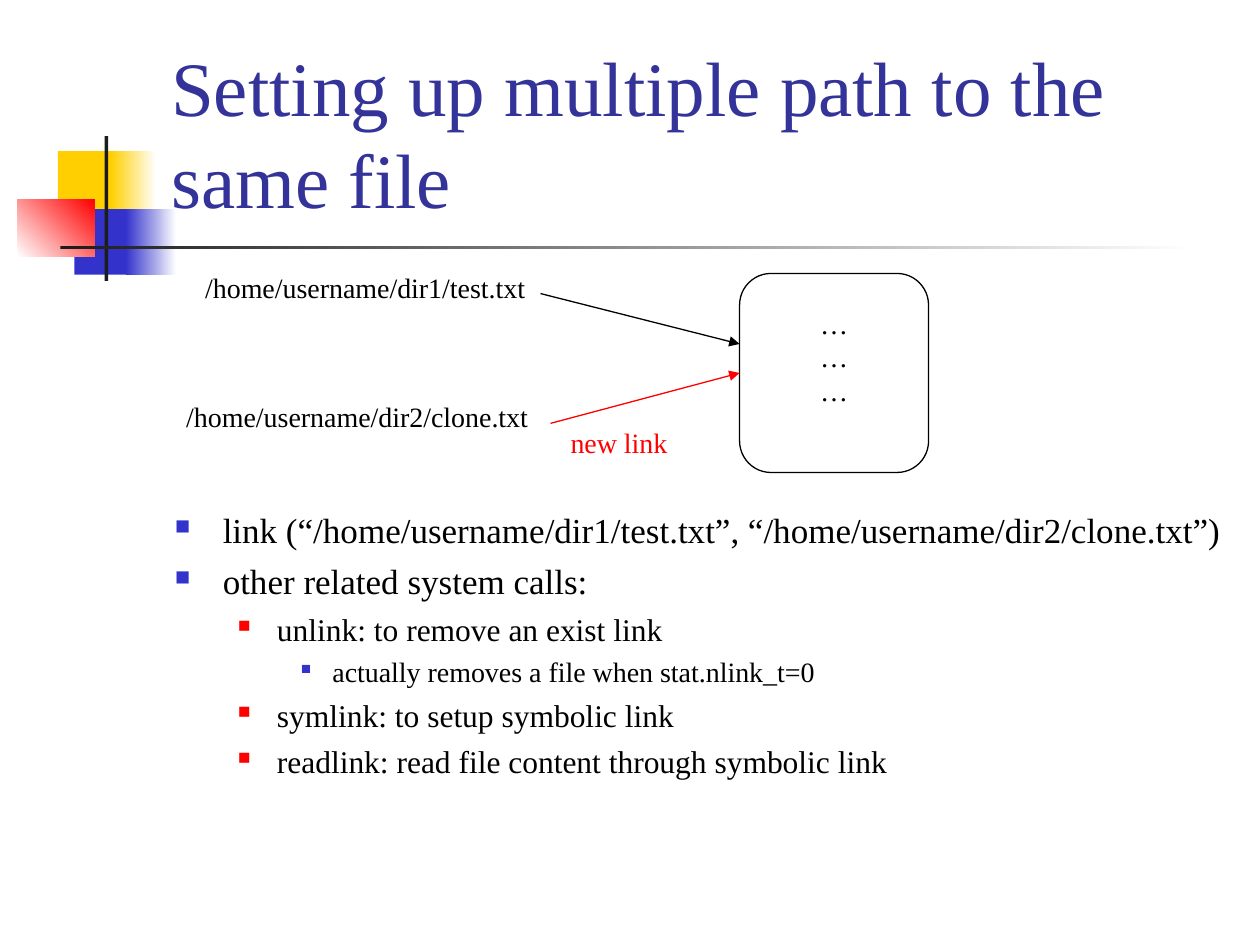
from dataclasses import dataclass

from lxml.etree import SubElement
from pptx import Presentation
from pptx.dml.color import RGBColor
from pptx.enum.shapes import MSO_CONNECTOR as Connector, MSO_SHAPE as Shape
from pptx.enum.text import MSO_ANCHOR as Anchor, PP_ALIGN as Align
from pptx.oxml.ns import qn
from pptx.util import Inches, Pt


@dataclass(frozen=True)
class Theme:
    font: str = "Times New Roman"
    title: str = "333399"
    text: str = "000000"
    red: str = "FF0000"
    blue: str = "3333CC"
    yellow: str = "FFCF01"
    bar: str = "1C1C1C"
    white: str = "FFFFFF"
    title_size: int = 44
    label_size: int = 16
    line_width: float = 0.75


THEME = Theme()

LEVELS = [
    dict(size=20, space=5, margin=0.38, hang=0.38, color=THEME.blue, scale=60),
    dict(size=18, space=4.5, margin=0.81, hang=0.31, color=THEME.red, scale=55),
    dict(size=16, space=4, margin=1.25, hang=0.25, color=THEME.blue, scale=50),
]

BULLETS = [
    (0, "link (“/home/username/dir1/test.txt”, “/home/username/dir2/clone.txt”)"),
    (0, "other related system calls:"),
    (1, "unlink: to remove an exist link"),
    (2, "actually removes a file when stat.nlink_t=0"),
    (1, "symlink: to setup symbolic link"),
    (1, "readlink: read file content through symbolic link"),
]

DECORATION = [
    ((0.46, 1.2, 0.48, 0.52), [THEME.yellow], 0),
    ((0.88, 1.2, 0.36, 0.52), [THEME.yellow, THEME.white], 0),
    ((0.59, 1.66, 0.46, 0.52), [THEME.blue], 0),
    ((1, 1.66, 0.4, 0.52), [THEME.blue, THEME.white], 0),
    ((0.14, 1.58, 0.61, 0.46), [THEME.white, THEME.red], 45),
    ((0.83, 1.08, 0.03, 1.15), [THEME.bar], 0),
    ((0.48, 1.95, 9, 0.03), [THEME.bar, THEME.white], 0),
]

LABELS = [
    ((1.53, 2.1, 2.76, 0.37), "/home/username/dir1/test.txt", THEME.text),
    ((1.38, 3.12, 2.93, 0.37), "/home/username/dir2/clone.txt", THEME.text),
    ((4.43, 3.33, 0.97, 0.37), "new link", THEME.red),
]

ARROWS = [
    ((4.29, 2.33, 5.87, 2.73), THEME.text),
    ((4.37, 3.36, 5.87, 2.96), THEME.red),
]


def inches(values):
    return [Inches(value) for value in values]


def rgb(color):
    return RGBColor.from_string(color)


def apply_format(target, values):
    for name, value in values.items():
        setattr(target, name, value)


def write(paragraph, text, size, color):
    paragraph.text = text
    apply_format(paragraph.font, dict(name=THEME.font, size=Pt(size)))
    paragraph.font.color.rgb = rgb(color)


def add_text_box(slide, box, wrap=True, anchor=Anchor.TOP):
    frame = slide.shapes.add_textbox(*inches(box)).text_frame
    apply_format(frame, dict(word_wrap=wrap, vertical_anchor=anchor))
    return frame


def add_block(slide, box, colors, angle):
    shape = slide.shapes.add_shape(Shape.RECTANGLE, *inches(box))
    shape.shadow.inherit = False
    shape.line.fill.background()
    if len(colors) == 1:
        shape.fill.solid()
        shape.fill.fore_color.rgb = rgb(colors[0])
        return
    shape.fill.gradient()
    shape.fill.gradient_angle = angle
    for stop, color in zip(shape.fill.gradient_stops, colors):
        stop.color.rgb = rgb(color)


def add_title(slide, text):
    frame = add_text_box(slide, (1.26, 0.23, 8.52, 1.6), anchor=Anchor.BOTTOM)
    write(frame.paragraphs[0], text, THEME.title_size, THEME.title)


def add_bullet(paragraph, level):
    properties = paragraph._p.get_or_add_pPr()
    properties.set("marL", str(Inches(level["margin"])))
    properties.set("indent", str(-Inches(level["hang"])))
    bullet_color = SubElement(properties, qn("a:buClr"))
    SubElement(bullet_color, qn("a:srgbClr"), val=level["color"])
    SubElement(properties, qn("a:buSzPct"), val=str(level["scale"] * 1000))
    SubElement(properties, qn("a:buChar"), char="■")


def add_bullets(slide, items):
    frame = add_text_box(slide, (1.29, 3.99, 8.5, 2.72))
    for index, (depth, text) in enumerate(items):
        level = LEVELS[depth]
        paragraph = frame.add_paragraph() if index else frame.paragraphs[0]
        add_bullet(paragraph, level)
        paragraph.level = depth
        if index:
            paragraph.space_before = Pt(level["space"])
        write(paragraph, text, level["size"], THEME.text)


def add_label(slide, box, text, color):
    frame = add_text_box(slide, box, wrap=False)
    write(frame.paragraphs[0], text, THEME.label_size, color)


def add_file_box(slide, box, lines):
    shape = slide.shapes.add_shape(Shape.ROUNDED_RECTANGLE, *inches(box))
    shape.shadow.inherit = False
    shape.fill.background()
    shape.line.color.rgb = rgb(THEME.text)
    shape.line.width = Pt(THEME.line_width)
    frame = shape.text_frame
    apply_format(frame, dict(word_wrap=False, vertical_anchor=Anchor.MIDDLE,
                             margin_bottom=Inches(0.31)))
    for index, text in enumerate(lines):
        paragraph = frame.add_paragraph() if index else frame.paragraphs[0]
        paragraph.alignment = Align.CENTER
        write(paragraph, text, THEME.label_size, THEME.text)


def add_arrow(slide, ends, color):
    arrow = slide.shapes.add_connector(Connector.STRAIGHT, *inches(ends))
    arrow.line.color.rgb = rgb(color)
    arrow.line.width = Pt(THEME.line_width)
    SubElement(arrow.line._get_or_add_ln(), qn("a:tailEnd"), type="triangle")
    SubElement(arrow._element.spPr, qn("a:effectLst"))


def main():
    presentation = Presentation()
    apply_format(presentation, dict(slide_width=Inches(10), slide_height=Inches(7.5)))
    slide = presentation.slides.add_slide(presentation.slide_layouts[6])
    for box, colors, angle in DECORATION:
        add_block(slide, box, colors, angle)
    add_title(slide, "Setting up multiple path to the same file")
    add_bullets(slide, BULLETS)
    add_file_box(slide, (5.87, 2.17, 1.5, 1.58), ["…"] * 3)
    for box, text, color in LABELS:
        add_label(slide, box, text, color)
    for ends, color in ARROWS:
        add_arrow(slide, ends, color)
    presentation.save("out.pptx")


if __name__ == "__main__":
    main()
